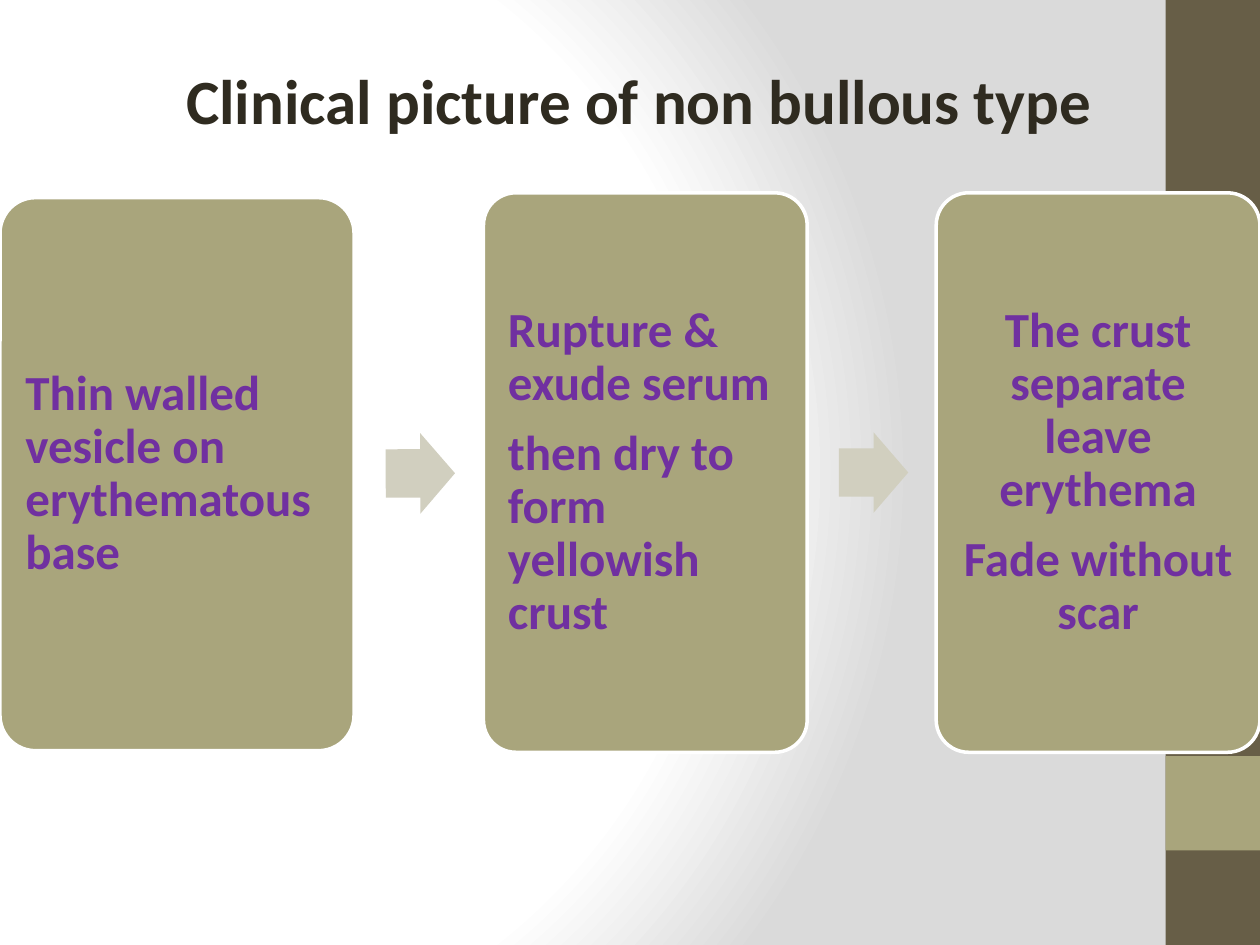
from dataclasses import dataclass
from typing import Any

from pptx import Presentation
from pptx.dml.color import RGBColor as RGB
from pptx.enum.shapes import MSO_SHAPE as Kind
from pptx.enum.text import MSO_ANCHOR as Anchor, MSO_AUTO_SIZE as Fit, PP_ALIGN as Align
from pptx.oxml import parse_xml
from pptx.oxml.ns import nsdecls, qn
from pptx.util import Pt


@dataclass(frozen=True)
class Theme:
    font: str = "Calibri"
    title: str = "2F2B20"
    text: str = "7030A0"
    card: str = "A9A57C"
    edge: str = "FFFFFF"
    arrow: str = "D1CFBF"
    band: str = "675E47"
    light: str = "FFFFFF"
    shade: str = "DADADA"
    big: float = 36
    body: float = 28
    gap: float = 9.8


@dataclass(frozen=True)
class Box:
    left: float
    top: float
    width: float
    height: float

    def points(self) -> list:
        return [Pt(n) for n in (self.left, self.top, self.width, self.height)]


@dataclass(frozen=True)
class Card:
    box: Box
    lines: tuple
    align: Any = Align.LEFT


@dataclass(frozen=True)
class Arrow:
    box: Box
    turn: float = 0


THEME = Theme()
BANDS = (
    (Box(666, 0, 54, 540), THEME.band),
    (Box(666, 432, 54, 54), THEME.card),
)
CARDS = (
    Card(Box(0, 113, 202.3, 316), ("Thin walled vesicle on erythematous base",)),
    Card(Box(276.3, 110.2, 185, 319.7),
         ("Rupture & exude serum", "then dry to form yellowish crust")),
    Card(Box(535, 110.2, 185, 319.7),
         ("The crust separate leave erythema", "Fade without scar"), Align.CENTER),
)
ARROWS = (
    Arrow(Box(220.4, 247.5, 39.6, 46), 359.8),
    Arrow(Box(479.4, 247, 39.6, 46)),
)


def apply(item: Any, values: dict) -> None:
    for name, value in values.items():
        setattr(item, name, value)


def style(font: Any, size: float, color: str) -> None:
    apply(font, {"name": THEME.font, "size": Pt(size), "bold": True})
    font.color.rgb = RGB.from_string(color)


def paint(slide: Any) -> None:
    """Give the slide a radial background, light inside and shaded at the rim."""
    slide.background.fill.solid()
    stops = ((0, THEME.light), (75, THEME.light), (100, THEME.shade))
    marks = "".join(
        f'<a:gs pos="{at * 1000}"><a:srgbClr val="{color}"/></a:gs>' for at, color in stops)
    grad = parse_xml(
        f'<a:gradFill {nsdecls("a")} rotWithShape="1"><a:gsLst>{marks}</a:gsLst>'
        '<a:path path="circle"><a:fillToRect l="20000" t="50000" r="100000" b="50000"/>'
        '</a:path></a:gradFill>')
    ground = slide.element.find(".//" + qn("p:bgPr"))
    ground.replace(ground.find(qn("a:solidFill")), grad)


def add_shape(slide: Any, kind: Any, box: Box, color: str, adjust: tuple = ()) -> Any:
    shape = slide.shapes.add_shape(kind, *box.points())
    shape.shadow.inherit = False
    shape.fill.solid()
    shape.fill.fore_color.rgb = RGB.from_string(color)
    shape.line.fill.background()
    for spot, value in enumerate(adjust):
        shape.adjustments[spot] = value
    return shape


def add_card(slide: Any, card: Card) -> None:
    shape = add_shape(slide, Kind.ROUNDED_RECTANGLE, card.box, THEME.card, (0.1,))
    shape.line.color.rgb = RGB.from_string(THEME.edge)
    shape.line.width = Pt(2)
    frame = shape.text_frame
    sides = ("left", "top", "right", "bottom")
    apply(frame, {"word_wrap": True, "vertical_anchor": Anchor.MIDDLE,
                  **{f"margin_{side}": Pt(8.6) for side in sides}})
    for spot, line in enumerate(card.lines):
        para = frame.add_paragraph() if spot else frame.paragraphs[0]
        apply(para, {"text": line, "alignment": card.align, "line_spacing": 0.9,
                     "space_before": Pt(THEME.gap if spot else 0)})
        style(para.font, THEME.body, THEME.text)


def add_arrow(slide: Any, arrow: Arrow) -> None:
    shape = add_shape(slide, Kind.RIGHT_ARROW, arrow.box, THEME.arrow, (0.6, 0.5))
    shape.rotation = arrow.turn


def set_title(slide: Any, text: str, box: Box) -> None:
    title = slide.shapes.title
    apply(title, dict(zip(("left", "top", "width", "height"), box.points())))
    apply(title.text_frame, {"text": text, "word_wrap": False,
                             "auto_size": Fit.SHAPE_TO_FIT_TEXT,
                             "vertical_anchor": Anchor.TOP})
    para = title.text_frame.paragraphs[0]
    para.alignment = Align.LEFT
    style(para.runs[0].font, THEME.big, THEME.title)


def main() -> None:
    deck = Presentation()
    apply(deck, {"slide_width": Pt(720), "slide_height": Pt(540)})
    slide = deck.slides.add_slide(deck.slide_layouts.get_by_name("Title Only"))
    paint(slide)
    set_title(slide, "Clinical picture of non bullous type", Box(99.2, 31.5, 541, 51))
    for box, color in BANDS:
        add_shape(slide, Kind.RECTANGLE, box, color)
    for card in CARDS:
        add_card(slide, card)
    for arrow in ARROWS:
        add_arrow(slide, arrow)
    deck.save("out.pptx")


if __name__ == "__main__":
    main()
